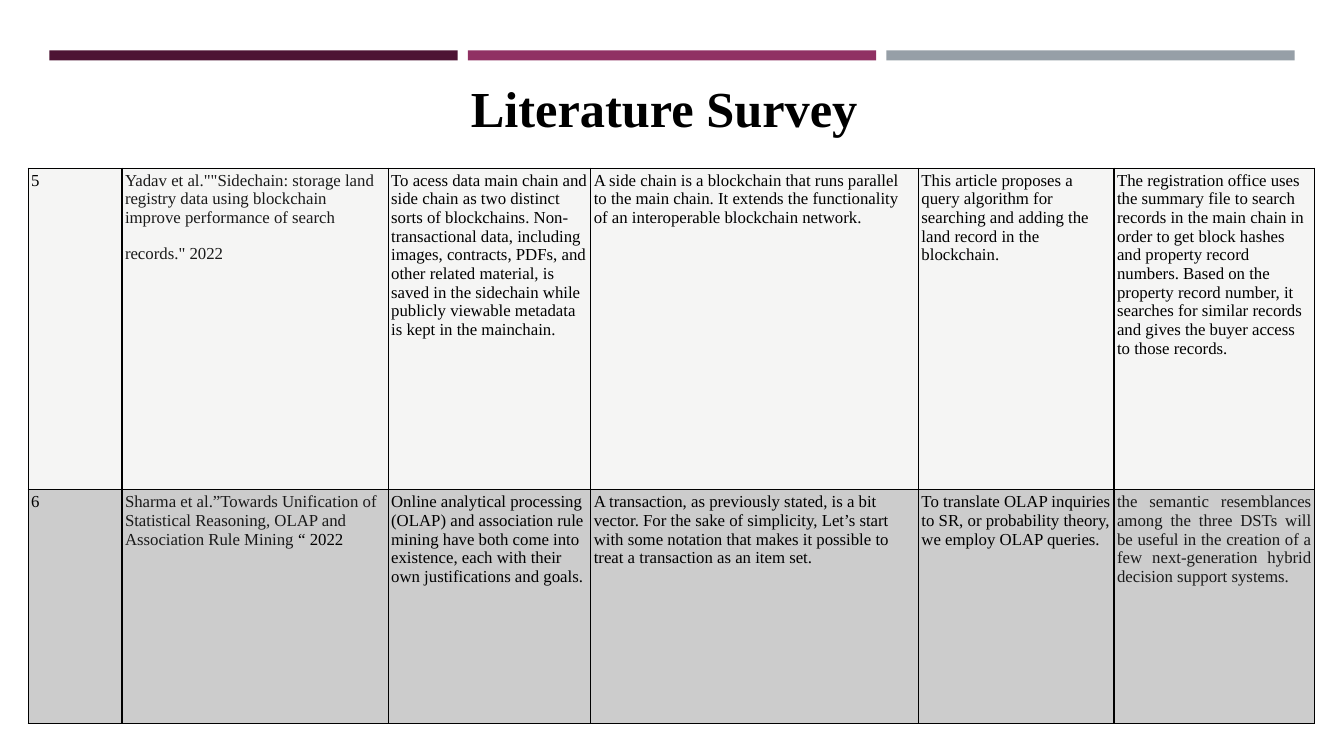
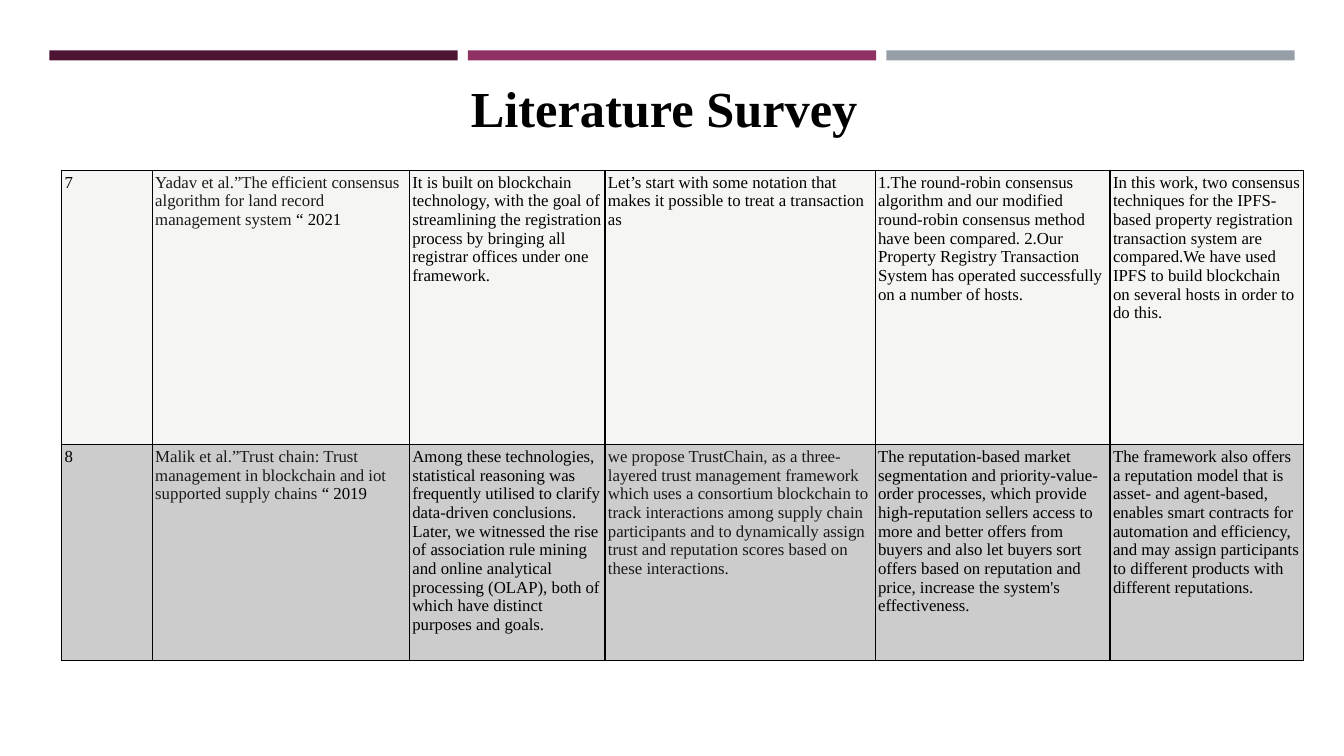
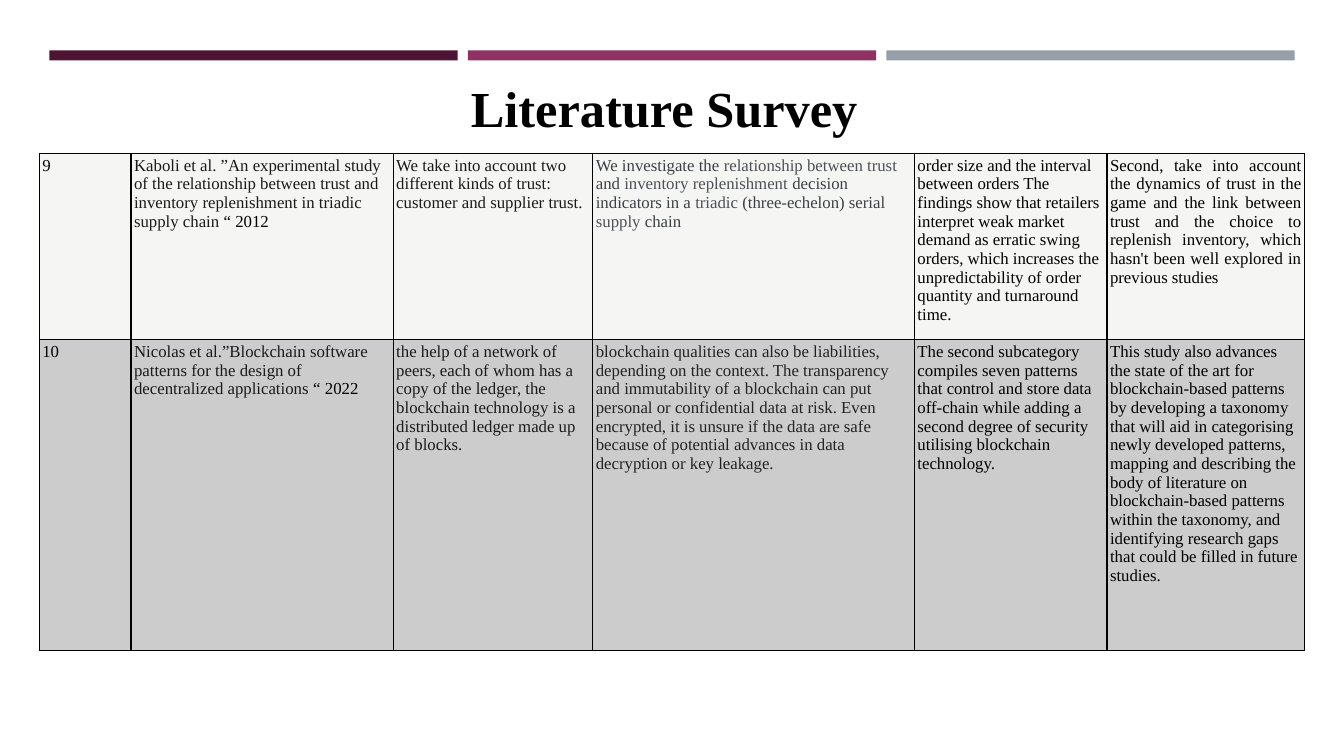
from dataclasses import dataclass

from lxml import etree
from pptx import Presentation
from pptx import util as u
from pptx.dml.color import RGBColor
from pptx.enum import shapes, text
from pptx.oxml.ns import qn


@dataclass(frozen=True)
class Theme:
    font: str = "Times New Roman"
    title_size: float = 36
    body_size: float = 12
    black: str = "000000"
    ink: str = "1A1A1A"
    graphite: str = "18191B"
    charcoal: str = "232323"
    slate: str = "3C4044"
    highlight: str = "4D5055"
    bands: tuple = ("4D1434", "903163", "969FA7")
    row_fills: tuple = ("F5F5F4", "CCCCCC")
    border_width: float = 1


theme = Theme()

# A cell is plain black text or a list of (colour, text) runs; a newline starts a paragraph.
surveys = [
    {
        "left": 0.28, "top": 1.67,
        "columns": [0.93, 2.64, 2.01, 3.25, 1.94, 1.99],
        "rows": [3.19, 2.32],
        "justified": [(1, 5)],
        "entries": [
            ["5",
             [(theme.ink, 'Yadav et al.""Sidechain: storage land registry data using '
                          'blockchain improve performance of search\nrecords." 2022')],
             "To acess data main chain and side chain as two distinct sorts of blockchains. "
             "Non-transactional data, including images, contracts, PDFs, and other related "
             "material, is saved in the sidechain while publicly viewable metadata is kept "
             "in the mainchain.",
             "A side chain is a blockchain that runs parallel to the main chain. It extends "
             "the functionality of an interoperable blockchain network.",
             "This article proposes a query algorithm for searching and adding the land "
             "record in the blockchain.",
             "The registration office uses the summary file to search records in the main "
             "chain in order to get block hashes and property record numbers. Based on the "
             "property record number, it searches for similar records and gives the buyer "
             "access to those records."],
            ["6",
             [(theme.ink, "Sharma et al.”Towards Unification of Statistical Reasoning, OLAP "
                          "and Association Rule Mining"),
              (theme.black, " “ 2022")],
             "Online analytical processing (OLAP) and association rule mining have both come "
             "into existence, each with their own justifications and goals.",
             "A transaction, as previously stated, is a bit vector. For the sake of "
             "simplicity, Let’s start with some notation that makes it possible to treat a "
             "transaction as an item set.",
             "To translate OLAP inquiries to SR, or probability theory, we employ OLAP "
             "queries.",
             [(theme.ink, "the semantic resemblances among the three DSTs will be useful in "
                          "the creation of a few next-generation hybrid decision support "
                          "systems.")]],
        ],
    },
    {
        "left": 0.61, "top": 1.69,
        "columns": [0.9, 2.55, 1.94, 2.68, 2.33, 1.92],
        "rows": [2.72, 2.14],
        "justified": [],
        "entries": [
            ["7",
             [(theme.ink, "Yadav et al.”The efficient consensus algorithm for land record "
                          "management system"),
              (theme.black, " “ 2021")],
             "It is built on blockchain technology, with the goal of streamlining the "
             "registration process by bringing all registrar offices under one framework.",
             "Let’s start with some notation that makes it possible to treat a transaction "
             "as",
             "1.The round-robin consensus algorithm and our modified round-robin consensus "
             "method have been compared. 2.Our Property Registry Transaction System has "
             "operated successfully on a number of hosts.",
             "In this work, two consensus techniques for the IPFS-based property "
             "registration transaction system are compared.We have used IPFS to build "
             "blockchain on several hosts in order to do this."],
            ["8",
             [(theme.ink, "Malik et al.”Trust chain: Trust management in blockchain and iot "
                          "supported supply chains"),
              (theme.black, " “ 2019")],
             "Among these technologies, statistical reasoning was frequently utilised to "
             "clarify data-driven conclusions. Later, we witnessed the rise of association "
             "rule mining and online analytical processing (OLAP), both of which have "
             "distinct purposes and goals.",
             [(theme.graphite, "we propose TrustChain, as a three-layered trust management "
                               "framework which uses a consortium blockchain to track "
                               "interactions among supply chain participants and to "
                               "dynamically assign trust and reputation scores based on "
                               "these interactions.")],
             "The reputation-based market segmentation and priority-value-order processes, "
             "which provide high-reputation sellers access to more and better offers from "
             "buyers and also let buyers sort offers based on reputation and price, increase "
             "the system's effectiveness.",
             "The framework also offers a reputation model that is asset- and agent-based, "
             "enables smart contracts for automation and efficiency, and may assign "
             "participants to different products with different reputations."],
        ],
    },
    {
        "left": 0.39, "top": 1.52,
        "columns": [0.91, 2.6, 1.98, 3.19, 1.91, 1.96],
        "rows": [1.85, 3.08],
        "justified": [(0, 5)],
        "entries": [
            ["9",
             [(theme.ink, "Kaboli et al. ”An experimental study of the relationship between "
                          "trust and inventory replenishment in triadic supply chain"),
              (theme.black, " “ 2012")],
             [(theme.ink, "We take into account two different kinds of trust: customer and "
                          "supplier trust.")],
             [(theme.slate, "We investigate the "),
              (theme.highlight, "relationship between trust"),
              (theme.slate, " and "),
              (theme.highlight, "inventory replenishment"),
              (theme.slate, " decision indicators in a "),
              (theme.highlight, "triadic"),
              (theme.slate, " (three-echelon) serial "),
              (theme.highlight, "supply"),
              (theme.slate, " chain")],
             "order size and the interval between orders The findings show that retailers "
             "interpret weak market demand as erratic swing orders, which increases the "
             "unpredictability of order quantity and turnaround time.",
             "Second, take into account the dynamics of trust in the game and the link "
             "between trust and the choice to replenish inventory, which hasn't been well "
             "explored in previous studies"],
            ["10",
             [(theme.ink, "Nicolas et al.”Blockchain software patterns for the design of "
                          "decentralized applications"),
              (theme.black, " “ 2022")],
             [(theme.ink, "the help of a network of peers, each of whom has a copy of the "
                          "ledger, the blockchain technology is a distributed ledger made up "
                          "of blocks.")],
             [(theme.charcoal, "blockchain qualities can also be liabilities, depending on "
                               "the context. The transparency and immutability of a "
                               "blockchain can put personal or confidential data at risk. "
                               "Even encrypted, it is unsure if the data are safe because of "
                               "potential advances in data decryption or key leakage.")],
             "The second subcategory compiles seven patterns that control and store data "
             "off-chain while adding a second degree of security utilising blockchain "
             "technology.",
             "This study also advances the state of the art for blockchain-based patterns by "
             "developing a taxonomy that will aid in categorising newly developed patterns, "
             "mapping and describing the body of literature on blockchain-based patterns "
             "within the taxonomy, and identifying research gaps that could be filled in "
             "future studies."],
        ],
    },
]


def add_run(paragraph, words, size, colour, bold=False):
    run = paragraph.add_run()
    run.text = words
    for name, value in {"name": theme.font, "size": u.Pt(size), "bold": bold}.items():
        setattr(run.font, name, value)
    run.font.color.rgb = RGBColor.from_string(colour)


def fill_cell(cell, content, fill, justified):
    """Write the runs into a table cell and give it its borders, margins and fill."""
    paragraph = cell.text_frame.paragraphs[0]
    runs = [(theme.black, content)] if isinstance(content, str) else content
    for colour, words in runs:
        for part, line in enumerate(words.split("\n")):
            if part:
                paragraph = cell.text_frame.add_paragraph()
                paragraph.space_before = u.Pt(12)
            add_run(paragraph, line, theme.body_size, colour)
    if justified:
        paragraph.alignment = text.PP_ALIGN.JUSTIFY
    for side in ("left", "top", "right", "bottom"):
        setattr(cell, f"margin_{side}", u.Inches(0.03))
    properties = cell._tc.get_or_add_tcPr()
    for edge in ("a:lnL", "a:lnR", "a:lnT", "a:lnB"):
        border = etree.SubElement(properties, qn(edge), w=str(u.Pt(theme.border_width)))
        solid = etree.SubElement(border, qn("a:solidFill"))
        etree.SubElement(solid, qn("a:srgbClr"), val=theme.black)
    cell.fill.solid()
    cell.fill.fore_color.rgb = RGBColor.from_string(fill)


deck = Presentation()
deck.slide_width, deck.slide_height = u.Inches(13.33), u.Inches(7.5)
layout = deck.slide_layouts.get_by_name("Title Only")
slides = [deck.slides.add_slide(layout) for survey in surveys]

# The three bands belong to the layout, in place of its date, footer and number.
for placeholder in list(layout.placeholders):
    if placeholder.placeholder_format.type != shapes.PP_PLACEHOLDER.TITLE:
        placeholder.element.getparent().remove(placeholder.element)
band_width, band_gap = 4.05, 0.1
bands = []
for column, colour in enumerate(theme.bands):
    band = slides[0].shapes.add_shape(
        shapes.MSO_SHAPE.RECTANGLE,
        u.Inches(0.49 + column * (band_width + band_gap)), u.Inches(0.5),
        u.Inches(band_width), u.Inches(0.1))
    band.fill.solid()
    band.fill.fore_color.rgb = RGBColor.from_string(colour)
    band.line.fill.background()
    band.shadow.inherit = False
    bands.append(band)
for band in bands:
    layout.shapes.element.append(band.element)

title_box = {"left": 4.57, "top": 0.71, "width": 6.46, "height": 0.71}
for slide, survey in zip(slides, surveys):
    title = slide.shapes.title
    for name, value in title_box.items():
        setattr(title, name, u.Inches(value))
    title_format = {"word_wrap": True, "auto_size": text.MSO_AUTO_SIZE.NONE,
                    "vertical_anchor": text.MSO_ANCHOR.BOTTOM}
    for name, value in title_format.items():
        setattr(title.text_frame, name, value)
    heading = title.text_frame.paragraphs[0]
    heading.alignment = text.PP_ALIGN.LEFT
    add_run(heading, "Literature Survey", theme.title_size, theme.black, bold=True)

    widths, heights = survey["columns"], survey["rows"]
    table = slide.shapes.add_table(
        len(heights), len(widths), u.Inches(survey["left"]), u.Inches(survey["top"]),
        u.Inches(sum(widths)), u.Inches(sum(heights))).table
    table.first_row = table.horz_banding = False
    for column, width in zip(table.columns, widths):
        column.width = u.Inches(width)
    for row, height in zip(table.rows, heights):
        row.height = u.Inches(height)
    for r, entry in enumerate(survey["entries"]):
        for c, content in enumerate(entry):
            fill_cell(table.cell(r, c), content, theme.row_fills[r],
                      (r, c) in survey["justified"])

deck.save("out.pptx")
